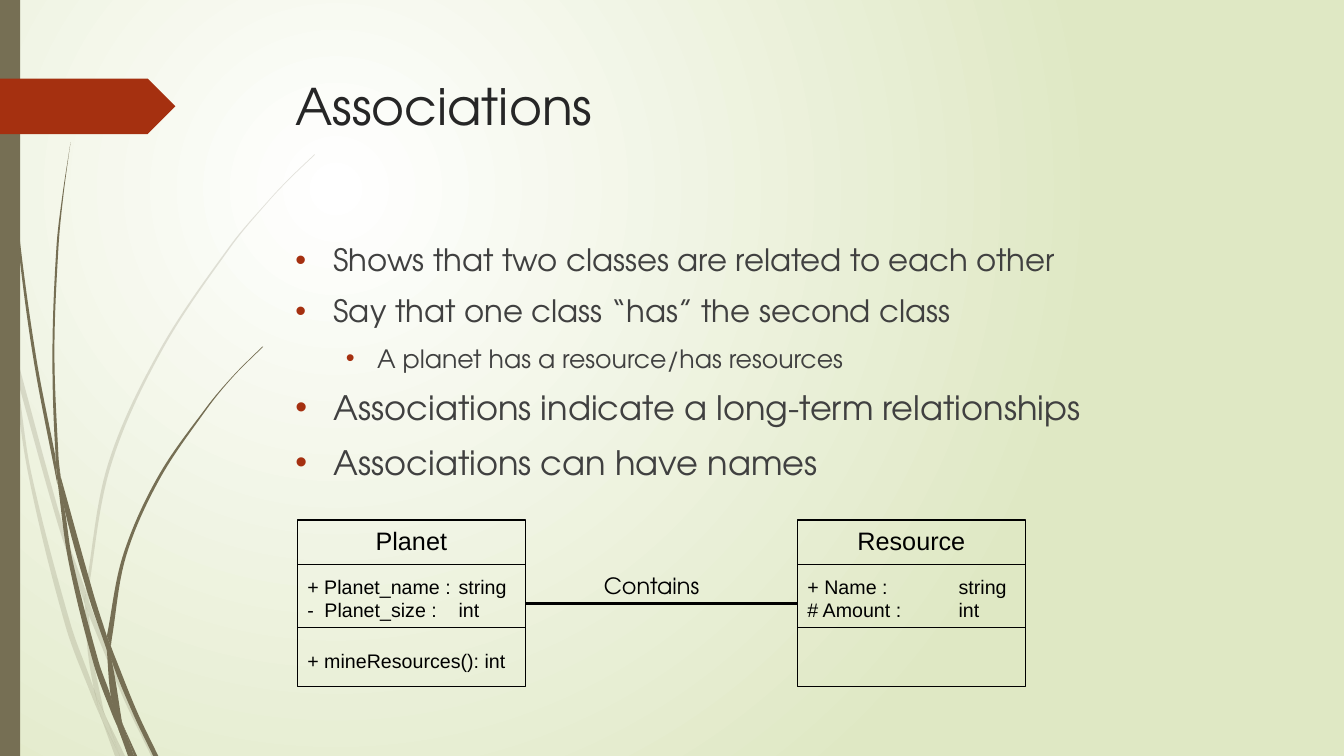
import math

from lxml import etree
from dataclasses import dataclass
from pptx import Presentation
from pptx import util as u
from pptx.dml.color import RGBColor
from pptx.enum import shapes, text
from pptx.oxml import parse_xml
from pptx.oxml.ns import nsdecls, qn

# ---- Content ----
TITLE = "Associations"
BULLETS = [  # level, size, wording
    (0, 22, "Shows that two classes are related to each other"),
    (0, 22, "Say that one class “has” the second class"),
    (1, 18, "A planet has a resource/has resources"),
    (0, 24, "Associations indicate a long-term relationships"),
    (0, 24, "Associations can have names"),
]
CLASSES = [  # left, name, attributes, methods
    (2.95, "Planet", ["+ Planet_name :\tstring", "-\tPlanet_size :\tint"], ["+ mineResources(): int"]),
    (7.91, "Resource", ["+ Name :\tstring", "# Amount :\tint"], []),
]
ASSOCIATION = "Contains"

# Grass: each blade piece is one edge going down and one coming back up
PALE_GRASS = [
    ([(0, 2.99), (0.1, 3.44), (0.11, 3.5)], [(0.11, 3.5), (0.09, 3.22), (0, 2.82)]),
    ([(0.17, 3.76), (0.58, 5.22), (0.84, 5.99)], [(0.85, 5.86), (0.62, 5.2), (0.14, 3.45)]),
    ([(0.88, 6.1), (1.23, 6.94), (1.5, 7.5)], [(1.55, 7.5), (1.27, 6.92), (0.92, 6.07), (0.88, 5.96)]),
    ([(1.05, 7.11), (1.19, 7.5)], [(1.24, 7.5), (1.05, 7.11)]),
    ([(0.11, 3.5), (0.28, 4.7), (0.65, 6.21), (0.92, 6.93), (1.01, 7.14)],
     [(0.99, 7.07), (0.93, 6.83), (0.7, 6.19), (0.31, 4.69), (0.17, 3.76), (0.11, 3.5)]),
    ([(0.84, 5.99), (0.87, 6.46), (0.93, 6.83), (0.96, 6.92), (1.05, 7.11)],
     [(1.03, 7.06), (0.91, 6.46), (0.88, 6.1), (0.84, 5.99)]),
    ([(3.12, 1.53), (2.89, 1.75), (2.68, 1.97), (2.28, 2.44), (1.58, 3.48), (1.07, 4.61), (0.85, 5.84)],
     [(0.88, 5.96), (0.88, 5.84), (1.1, 4.62), (1.6, 3.49), (2.29, 2.45), (2.68, 1.98), (2.9, 1.75), (3.12, 1.54)]),
    ([(1.01, 7.14), (1.14, 7.5)], [(1.19, 7.5), (1.01, 7.14)]),
    ([(0.85, 5.86), (0.84, 5.99), (0.88, 6.08)], [(0.88, 6.1), (0.88, 5.96)]),
    ([(0.93, 6.83), (0.99, 7.07), (1.01, 7.14), (1.19, 7.5)], [(1.19, 7.5), (1.05, 7.11), (0.96, 6.92)]),
]
DARK_GRASS = [
    ([(0.03, 0), (0.04, 0.48), (0.07, 1.1), (0.17, 2.33), (0.33, 3.55), (0.57, 4.81)],
     [(0.55, 4.53), (0.36, 3.55), (0.19, 2.32), (0.08, 1.09), (0.05, 0.48), (0.04, 0)]),
    ([(0.6, 4.72), (0.64, 5.05), (0.88, 5.92), (1.06, 6.45)], [(1.06, 6.31), (0.93, 5.9), (0.6, 4.72)]),
    ([(1.1, 6.41), (1.11, 6.56), (1.32, 7.08), (1.52, 7.5)], [(1.57, 7.5), (1.36, 7.06), (1.13, 6.49)]),
    ([(0.57, 4.77), (0.68, 5.57), (0.93, 6.59), (1.11, 7.08), (1.17, 7.22)],
     [(1.16, 7.17), (1.1, 6.91), (0.98, 6.57), (0.72, 5.56), (0.64, 5.05), (0.57, 4.77)]),
    ([(0.7, 1.41), (0.62, 1.93), (0.56, 2.45), (0.52, 3.49), (0.55, 4.49), (0.6, 4.72)],
     [(0.6, 4.72), (0.58, 4.53), (0.54, 3.49), (0.58, 2.45), (0.63, 1.93), (0.7, 1.41)]),
    ([(1.22, 7.19), (1.33, 7.5)], [(1.36, 7.5), (1.22, 7.19)]),
    ([(0.55, 4.49), (0.57, 4.77), (0.64, 5.05)], [(0.6, 4.72), (0.55, 4.49)]),
    ([(2.6, 3.44), (2.31, 3.73), (2.04, 4.05), (1.56, 4.74), (1.22, 5.51), (1.06, 6.31)],
     [(1.1, 6.41), (1.11, 6.33), (1.25, 5.52), (1.58, 4.76), (2.05, 4.06), (2.31, 3.74), (2.61, 3.44)]),
    ([(1.17, 7.22), (1.27, 7.5)], [(1.31, 7.5), (1.17, 7.22)]),
    ([(1.06, 6.45), (1.1, 6.91), (1.16, 7.06), (1.22, 7.19)], [(1.21, 7.16), (1.11, 6.56), (1.06, 6.45)]),
    ([(1.06, 6.31), (1.06, 6.45), (1.11, 6.56)], [(1.1, 6.41), (1.06, 6.31)]),
    ([(1.1, 6.91), (1.17, 7.22), (1.3, 7.5)], [(1.33, 7.5), (1.22, 7.19), (1.1, 6.91)]),
]


@dataclass(frozen=True)
class Theme:
    heading_font: str = "TeX Gyre Adventor"
    diagram_font: str = "Arial"
    title: str = "262626"
    body: str = "404040"
    ink: str = "000000"
    accent: str = "A53010"
    grass: str = "766F54"
    glow: str = "FFFFFF"
    backdrop: str = "DFE8C4"
    title_size: int = 36
    class_size: int = 18
    label_size: int = 16
    member_size: int = 14


THEME = Theme()
CLASS_TOP, CLASS_WIDTH, CLASS_HEIGHT = 5.16, 2.26, 1.65
DIVIDERS = (5.6, 6.23)
MEMBER_TABS = (0.17, 1.5)


def write(paragraph, wording, *, size, color, font, align=text.PP_ALIGN.LEFT, before=0):
    paragraph.alignment = align
    paragraph.space_before = u.Pt(before)
    run = paragraph.add_run()
    run.text = wording
    run.font.size, run.font.name = u.Pt(size), font
    run.font.color.rgb = RGBColor.from_string(color)


def prepare_frame(shape, wrap=True):
    frame = shape.text_frame
    frame.word_wrap = wrap
    frame.auto_size = text.MSO_AUTO_SIZE.NONE
    frame.vertical_anchor = text.MSO_ANCHOR.TOP
    return frame


def add_lines(canvas, lines, bounds, tabs=(), **style):
    frame = prepare_frame(canvas.shapes.add_textbox(*map(u.Inches, bounds)), wrap=False)
    for index, line in enumerate(lines):
        paragraph = frame.add_paragraph() if index else frame.paragraphs[0]
        if tabs:
            stops = etree.SubElement(paragraph._p.get_or_add_pPr(), qn("a:tabLst"))
            for tab in tabs:
                etree.SubElement(stops, qn("a:tab"), pos=str(u.Inches(tab)), algn="l")
        write(paragraph, line, **style)


def fill_placeholder(shape, bounds):
    shape.left, shape.top, shape.width, shape.height = map(u.Inches, bounds)
    return prepare_frame(shape)


def add_bullet(paragraph, level):
    margin, hanging = ((0.38, 0.38), (0.81, 0.31))[level]
    paragraph.level = level
    properties = paragraph._p.get_or_add_pPr()
    properties.set("marL", str(u.Inches(margin)))
    properties.set("indent", str(-u.Inches(hanging)))
    color = etree.SubElement(properties, qn("a:buClr"))
    etree.SubElement(color, qn("a:srgbClr"), val=THEME.accent)
    etree.SubElement(properties, qn("a:buFont"), typeface="Arial")
    etree.SubElement(properties, qn("a:buChar"), char="•")


def paint(shape, color, opacity=100):
    shape.shadow.inherit = False
    shape.line.fill.background()
    shape.fill.solid()
    shape.fill.fore_color.rgb = RGBColor.from_string(color)
    if opacity < 100:
        rgb = shape._element.spPr.find(".//" + qn("a:srgbClr"))
        etree.SubElement(rgb, qn("a:alpha"), val=str(opacity * 1000))


def add_line(canvas, start, end, weight):
    line = canvas.shapes.add_connector(shapes.MSO_CONNECTOR.STRAIGHT, *map(u.Inches, start + end))
    line.line.width = u.Pt(weight)
    line.line.color.rgb = RGBColor.from_string(THEME.ink)
    etree.SubElement(line._element.spPr, qn("a:effectLst"))
    return line


def curve_handles(edge):
    """Bezier handles for each stretch of a smooth edge."""
    padded = [edge[0], *edge, edge[-1]]
    for a, b, c, d in zip(padded, padded[1:], padded[2:], padded[3:]):
        reach = math.dist(b, c) / 3
        out, back = reach / math.dist(a, c), reach / math.dist(b, d)
        yield ((b[0] + (c[0] - a[0]) * out, b[1] + (c[1] - a[1]) * out),
               (c[0] - (d[0] - b[0]) * back, c[1] - (d[1] - b[1]) * back))


def add_blade(canvas, edges, opacity):
    down, up = edges
    outline = [(u.Inches(x), u.Inches(y)) for x, y in down + up]
    builder = canvas.shapes.build_freeform(*outline[0])
    builder.add_line_segments(outline[1:], close=True)
    blade = builder.convert_to_shape()
    # Bend the stretches; the step between the two edges stays straight
    stretches = blade._element.findall(".//" + qn("a:lnTo"))
    bends = [*curve_handles(down), None, *curve_handles(up)]
    for stretch, handles in zip(stretches, bends):
        if handles:
            stretch.tag = qn("a:cubicBezTo")
            for index, (x, y) in enumerate(handles):
                stretch.insert(index, etree.Element(
                    qn("a:pt"), x=str(u.Inches(x) - blade.left), y=str(u.Inches(y) - blade.top)))
    paint(blade, THEME.grass, opacity)


def add_class(slide, left, name, attributes, methods):
    group = slide.shapes.add_group_shape()
    box = group.shapes.add_shape(shapes.MSO_SHAPE.RECTANGLE, *map(
        u.Inches, (left, CLASS_TOP, CLASS_WIDTH, CLASS_HEIGHT)))
    box.shadow.inherit = False
    box.fill.background()
    box.line.width = u.Pt(1)
    box.line.color.rgb = RGBColor.from_string(THEME.ink)
    for y in DIVIDERS:
        add_line(group, (left, y), (left + CLASS_WIDTH, y), 0.75)
    style = dict(color=THEME.ink, font=THEME.diagram_font)
    add_lines(group, [name], (left, CLASS_TOP, CLASS_WIDTH, 0.4),
              size=THEME.class_size, align=text.PP_ALIGN.CENTER, **style)
    add_lines(group, attributes, (left, 5.65, 2.2, 0.81), MEMBER_TABS, size=THEME.member_size, **style)
    if methods:
        add_lines(group, methods, (left, 6.39, 2.2, 0.34), size=THEME.member_size, **style)
    return box


def main():
    presentation = Presentation()
    presentation.slide_width, presentation.slide_height = u.Inches(13.33), u.Inches(7.5)
    slide = presentation.slides.add_slide(presentation.slide_layouts[1])

    # Background glow
    slide.element.cSld.insert(0, parse_xml(
        f'<p:bg {nsdecls("p", "a")}><p:bgPr><a:gradFill rotWithShape="1"><a:gsLst>'
        f'<a:gs pos="0"><a:srgbClr val="{THEME.glow}"/></a:gs>'
        f'<a:gs pos="100000"><a:srgbClr val="{THEME.backdrop}"/></a:gs></a:gsLst>'
        '<a:path path="circle"><a:fillToRect l="50000" t="50000" r="100000" b="100000"/></a:path>'
        '</a:gradFill><a:effectLst/></p:bgPr></p:bg>'))

    # Grass, side bar and title tag
    for blades, opacity in ((PALE_GRASS, 20), (DARK_GRASS, 100)):
        tuft = slide.shapes.add_group_shape()
        for edges in blades:
            add_blade(tuft, edges, opacity)
    for kind, bounds, color in (
            (shapes.MSO_SHAPE.RECTANGLE, (0, 0, 0.2, 7.5), THEME.grass),
            (shapes.MSO_SHAPE.PENTAGON, (0, 0.78, 1.74, 0.55), THEME.accent)):
        paint(slide.shapes.add_shape(kind, *map(u.Inches, bounds)), color)

    # Title and bullets
    frame = fill_placeholder(slide.shapes.title, (2.83, 0.69, 9.75, 1.4))
    write(frame.paragraphs[0], TITLE, size=THEME.title_size, color=THEME.title, font=THEME.heading_font)
    frame = fill_placeholder(slide.placeholders[1], (2.83, 2.34, 9.75, 4.13))
    for index, (level, size, wording) in enumerate(BULLETS):
        paragraph = frame.add_paragraph() if index else frame.paragraphs[0]
        add_bullet(paragraph, level)
        write(paragraph, wording, size=size, color=THEME.body, font=THEME.heading_font,
              before=10 if index else 0)

    # Class diagram
    planet, resource = [add_class(slide, *entry) for entry in CLASSES]
    link = add_line(slide, (5.21, 5.99), (7.91, 5.99), 2)
    link.begin_connect(planet, 3)
    link.end_connect(resource, 1)
    add_lines(slide, [ASSOCIATION], (5.89, 5.63, 1.38, 0.37),
              size=THEME.label_size, color=THEME.ink, font=THEME.heading_font)

    presentation.save("out.pptx")


if __name__ == "__main__":
    main()
